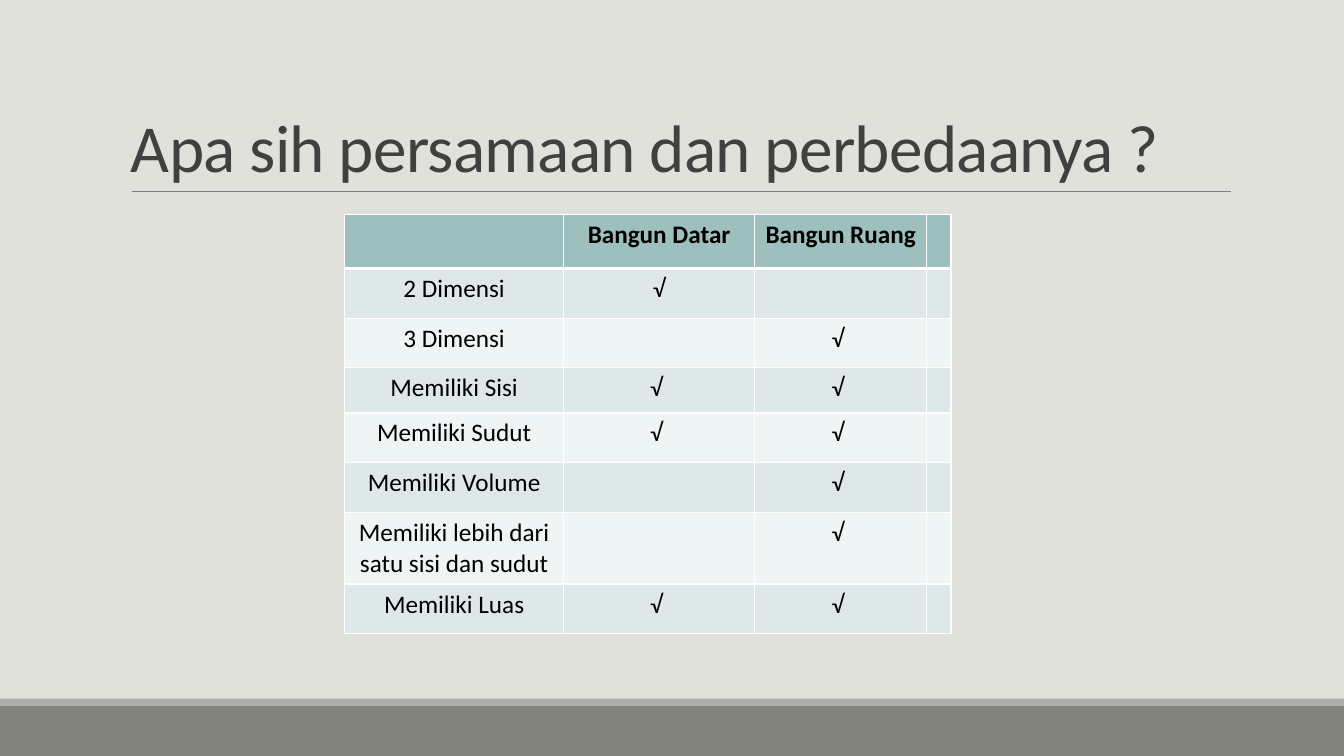
from dataclasses import dataclass

from lxml import etree
from pptx import Presentation
from pptx.dml.color import RGBColor
from pptx.enum.shapes import MSO_CONNECTOR, MSO_SHAPE
from pptx.enum.text import MSO_ANCHOR, PP_ALIGN
from pptx.oxml.ns import qn
from pptx.util import Pt

RECTANGLE = MSO_SHAPE.RECTANGLE
STRAIGHT = MSO_CONNECTOR.STRAIGHT
BOTTOM = MSO_ANCHOR.BOTTOM
CENTER = PP_ALIGN.CENTER


@dataclass(frozen=True)
class Theme:
    font: str = "Calibri"
    title_size: float = 48
    table_size: float = 18
    background: str = "E1E1DB"
    footer: str = "82847C"
    footer_edge: str = "ACADA8"
    rule: str = "808080"
    title: str = "404040"
    text: str = "000000"
    header: str = "9DBFBE"
    bands: tuple = ("DFE8E8", "EFF4F4")
    border: str = "FFFFFF"


def color(value):
    return RGBColor.from_string(value)


def set_format(target, values):
    for name, value in values.items():
        setattr(target, name, value)


class SlideBuilder:
    def __init__(self, slide, theme):
        self.slide = slide
        self.theme = theme
        fill = slide.background.fill
        fill.solid()
        fill.fore_color.rgb = color(theme.background)

    def add_span(self, para, text, size, ink, bold=False):
        span = para.add_run()
        span.text = text
        set_format(span.font, {"name": self.theme.font, "size": Pt(size), "bold": bold})
        span.font.color.rgb = color(ink)
        return span

    def bar(self, left, top, width, height, fill):
        shape = self.slide.shapes.add_shape(
            RECTANGLE, Pt(left), Pt(top), Pt(width), Pt(height))
        shape.shadow.inherit = False
        shape.fill.solid()
        shape.fill.fore_color.rgb = color(fill)
        shape.line.fill.background()

    def rule(self, left, right, top, weight):
        line = self.slide.shapes.add_connector(
            STRAIGHT, Pt(left), Pt(top), Pt(right), Pt(top))
        line.line.color.rgb = color(self.theme.rule)
        line.line.width = Pt(weight)
        etree.SubElement(line._element.spPr, qn("a:effectLst"))

    def title(self, left, top, width, height, text):
        box = self.slide.shapes.add_textbox(Pt(left), Pt(top), Pt(width), Pt(height))
        frame = box.text_frame
        set_format(frame, {"word_wrap": True, "vertical_anchor": BOTTOM})
        para = frame.paragraphs[0]
        para.line_spacing = 0.85
        span = self.add_span(para, text, self.theme.title_size, self.theme.title)
        span._r.get_or_add_rPr().set("spc", "-50")

    def borders(self, cell, weights):
        properties = cell._tc.get_or_add_tcPr()
        for side, weight in weights.items():
            line = etree.SubElement(properties, qn(f"a:ln{side}"), w=str(Pt(weight)))
            fill = etree.SubElement(line, qn("a:solidFill"))
            etree.SubElement(fill, qn("a:srgbClr"), val=self.theme.border)

    def cell(self, cell, text, row):
        theme = self.theme
        header = row == 0
        self.borders(cell, {"L": 1, "R": 1, "T": 3 if row == 1 else 1,
                            "B": 3 if header else 1})
        cell.fill.solid()
        cell.fill.fore_color.rgb = color(theme.header if header else theme.bands[(row - 1) % 2])
        if text:
            para = cell.text_frame.paragraphs[0]
            para.alignment = CENTER
            self.add_span(para, text, theme.table_size, theme.text, header)

    def table(self, left, top, widths, heights, rows):
        table = self.slide.shapes.add_table(
            len(heights), len(widths), Pt(left), Pt(top),
            Pt(sum(widths)), Pt(sum(heights))).table
        for column, width in zip(table.columns, widths):
            column.width = Pt(width)
        for index, (height, texts) in enumerate(zip(heights, rows)):
            table.rows[index].height = Pt(height)
            for position, text in enumerate(texts):
                self.cell(table.cell(index, position), text, index)


WIDTH, HEIGHT = 960, 540
MARK = "√ "
ROW = 35.5
COMPARISON = [
    ("", "Bangun Datar", "Bangun Ruang", ""),
    ("2 Dimensi", " √ ", "", ""),
    ("3 Dimensi", "", MARK, ""),
    ("Memiliki Sisi", MARK, MARK, ""),
    ("Memiliki Sudut", MARK, MARK, ""),
    ("Memiliki Volume", "", MARK, ""),
    ("Memiliki lebih dari satu sisi dan sudut", "", MARK, ""),
    ("Memiliki Luas", MARK, MARK, ""),
]

deck = Presentation()
set_format(deck, {"slide_width": Pt(WIDTH), "slide_height": Pt(HEIGHT)})
theme = Theme()
page = SlideBuilder(deck.slides.add_slide(deck.slide_layouts[6]), theme)

page.bar(0, 504, WIDTH, 36, theme.footer)
page.bar(0, 499, WIDTH, 5, theme.footer_edge)
page.rule(94.3, 879, 136.7, 0.5)
page.title(86.4, 22.5, 792, 114.2, "Apa sih persamaan dan perbedaanya ?")
page.table(246.2, 153.2, (156.4, 136.5, 123, 17),
           (38.6, ROW, ROW, 32.2, ROW, ROW, 51.2, ROW), COMPARISON)

deck.save("out.pptx")
